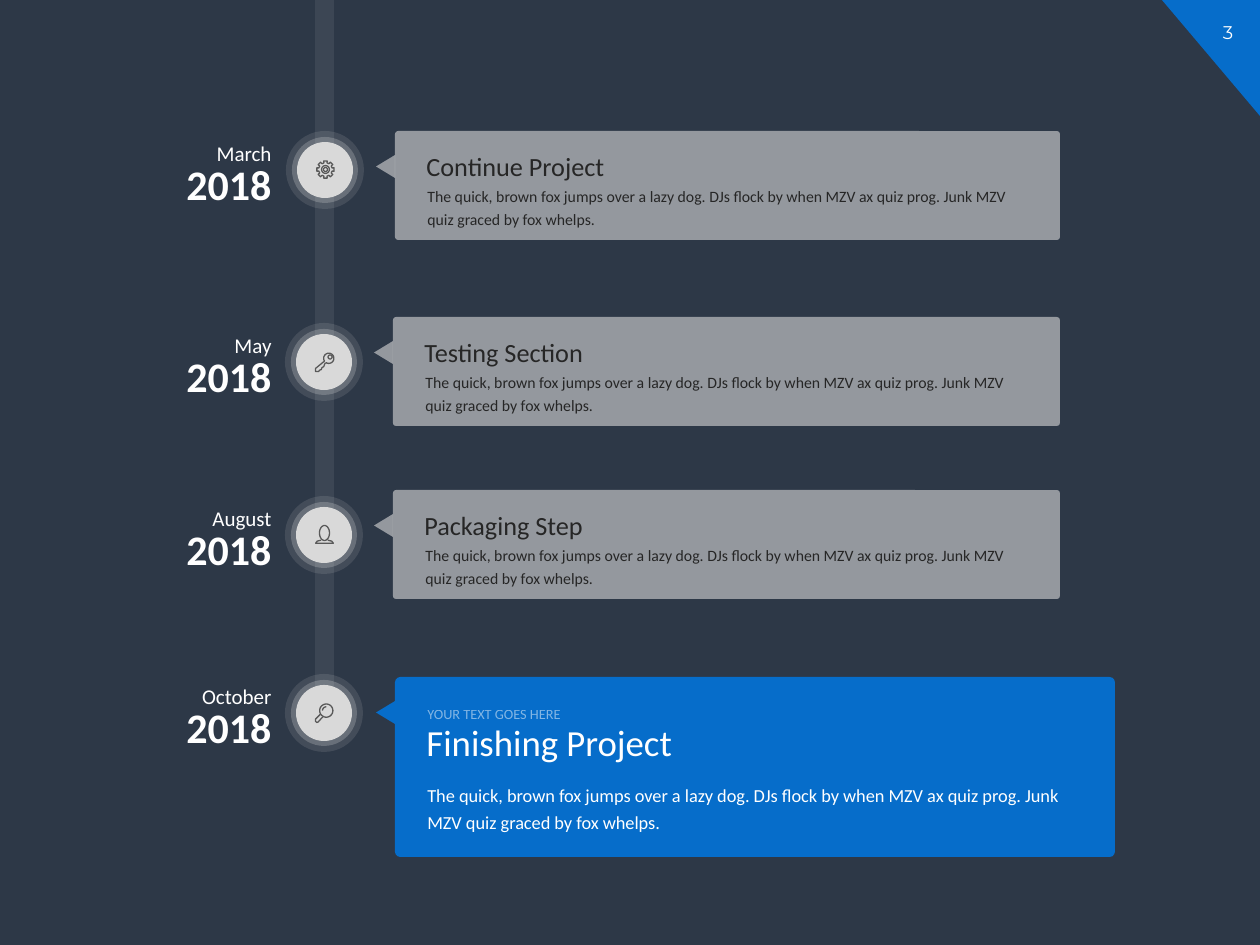
import dataclasses
import math

import pptx
import pptx.dml.color
import pptx.enum.shapes
import pptx.enum.text
import pptx.oxml
import pptx.oxml.ns
import pptx.util

PX = 914400 / 126
SHAPE = pptx.enum.shapes.MSO_SHAPE
ALIGN = pptx.enum.text.PP_ALIGN
BODY = ("The quick, brown fox jumps over a lazy dog. DJs flock by when MZV "
        "ax quiz prog. Junk MZV quiz graced by fox whelps.")


@dataclasses.dataclass(frozen=True)
class Theme:
    back: str = "2D3847"
    accent: str = "066DCA"
    light: str = "D9D9D9"
    white: str = "FFFFFF"
    dark: str = "262626"
    icon: str = "595959"
    font: str = "Calibri"
    number_font: str = "Montserrat"
    year: float = 24
    month: float = 12
    title: float = 15
    body: float = 9
    big_title: float = 21
    big_body: float = 10.5
    kicker: float = 8.2
    number: float = 10.5


def emu(px):
    return round(px * PX)


def paint(fill, color, alpha=100):
    """Set a solid fill, with alpha in percent."""
    fill.solid()
    fill.fore_color.rgb = pptx.dml.color.RGBColor.from_string(color)
    if alpha < 100:
        for clr in fill._xPr.iter(pptx.oxml.ns.qn("a:srgbClr")):
            node = pptx.oxml.parse_xml(
                f'<a:alpha {pptx.oxml.ns.nsdecls("a")} val="{alpha * 1000}"/>')
            clr.append(node)


def arc(cx, cy, rx, ry, start=0, end=360):
    """Points along an elliptical arc, clockwise, angles in degrees."""
    steps = max(8, (end - start) // 10)
    angles = [math.radians(start + (end - start) * i / steps)
              for i in range(steps + 1)]
    return [(cx + rx * math.cos(a), cy + ry * math.sin(a)) for a in angles]


def gear_outline(teeth=8):
    points = []
    for tooth in range(teeth):
        for offset, radius in ((-14, 68), (-11, 88), (11, 88), (14, 68)):
            a = math.radians(360 / teeth * tooth + offset)
            points.append((95 + radius * math.cos(a), 95 + radius * math.sin(a)))
    return points


# Each icon is a list of shapes, each shape a list of (points, closed),
# drawn on a grid of 190 units, ten to the px.
GEAR = [[(gear_outline(), True)],
        [(arc(95, 95, 39, 39), True)],
        [(arc(95, 95, 20, 20), True)]]
KEY = [[(arc(138, 63, 51, 51, 147, 477)
         + [(101, 113), (95, 126), (88, 145), (69, 158), (63, 176), (44, 183),
            (38, 195), (6, 195), (6, 164)], True)],
       [(arc(151, 50, 20, 20), True)]]
PERSON = [[(arc(95, 80, 50, 75), True),
           ([(62, 152), (22, 162), (6, 183), (184, 183), (168, 162), (128, 152)],
            False)]]
MAGNIFIER = [[(arc(113, 76, 66, 66), True),
              ([(54, 113), (6, 160), (5, 182), (18, 195), (32, 190), (78, 138)],
               False)],
             [(arc(113, 76, 38, 38, 180, 270), False)]]


class Deck:
    def __init__(self, theme):
        self.theme = theme
        self.prs = pptx.Presentation()
        self.prs.slide_width = emu(1260)
        self.prs.slide_height = emu(945)
        self.s = self.prs.slides.add_slide(self.prs.slide_layouts[6])
        paint(self.s.background.fill, theme.back)

    def shape(self, kind, x, y, w, h, color, alpha=100, rotation=0, radius=None):
        sp = self.s.shapes.add_shape(kind, emu(x), emu(y), emu(w), emu(h))
        sp.shadow.inherit = False
        sp.line.fill.background()
        paint(sp.fill, color, alpha)
        sp.rotation = rotation
        if radius is not None:
            sp.adjustments[0] = radius
        return sp

    def text(self, text, x, y, w, h, *, size, color, alpha=100, font=None,
             bold=False, align=ALIGN.LEFT, spacing=None):
        sp = self.s.shapes.add_textbox(emu(x), emu(y), emu(w), emu(h))
        tf = sp.text_frame
        tf.word_wrap = True
        tf.auto_size = pptx.enum.text.MSO_AUTO_SIZE.SHAPE_TO_FIT_TEXT
        p = tf.paragraphs[0]
        p.alignment = align
        p.line_spacing = spacing
        r = p.add_run()
        r.text = text
        r.font.name = font or self.theme.font
        r.font.size = pptx.util.Pt(size)
        r.font.bold = bold
        paint(r.font.fill, color, alpha)
        return sp

    def icon(self, icon, x, y):
        for contours in icon:
            builder = None
            for points, closed in contours:
                if builder is None:
                    builder = self.s.shapes.build_freeform(*points[0], scale=PX / 10)
                else:
                    builder.move_to(*points[0])
                builder.add_line_segments(points[1:], close=closed)
            sp = builder.convert_to_shape(emu(x), emu(y))
            sp.shadow.inherit = False
            sp.fill.background()
            paint(sp.line.fill, self.theme.icon)
            sp.line.width = pptx.util.Pt(0.75)

    def milestone(self, month, icon, x, y):
        t = self.theme
        self.text("2018", 120, y + 21, 164, 63, size=t.year, color=t.white,
                  bold=True, align=ALIGN.RIGHT)
        self.text(month, 135, y - 2, 149, 43, size=t.month, color=t.white,
                  align=ALIGN.RIGHT, spacing=1.2)
        for inset, alpha in ((0, 13), (6, 25), (11, 100)):
            d = 78 - 2 * inset
            self.shape(SHAPE.OVAL, x + inset, y + inset, d, d, t.light, alpha)
        self.icon(icon, x + 30, y + 29)

    def bubble(self, x, y, w, h, color, alpha=100):
        """Rounded card with a pointer on its left side."""
        self.shape(SHAPE.ROUNDED_RECTANGLE, x, y, w, h, color, alpha, radius=0.03)
        self.shape(SHAPE.ISOSCELES_TRIANGLE, x - 21, y + 26, 23, 19, color, alpha,
                   rotation=270)

    def card(self, title, x, y):
        t = self.theme
        self.bubble(x, y, 1060 - x, 109, t.light, 60)
        self.text(BODY, x + 20, y + 46, 614, 58, size=t.body, color=t.dark,
                  spacing=1.2)
        self.text(title, x + 19, y + 13, 663, 44, size=t.title, color=t.dark)

    def highlight(self, kicker, title, x, y):
        t = self.theme
        self.bubble(x, y, 720, 180, t.accent)
        self.text(BODY, x + 20, y + 97, 680, 67, size=t.big_body, color=t.white,
                  spacing=1.2)
        self.text(title, x + 19, y + 37, 663, 57, size=t.big_title, color=t.white)
        self.text(kicker, x + 20, y + 19, 680, 34, size=t.kicker, color=t.white,
                  alpha=50, spacing=1.2)


def main():
    theme = Theme()
    deck = Deck(theme)
    deck.shape(SHAPE.RIGHT_TRIANGLE, 1162, 0, 98, 116, theme.accent, rotation=180)
    deck.text("3", 1196, 15, 64, 35, size=theme.number, color=theme.white,
              font=theme.number_font, align=ALIGN.CENTER)
    deck.shape(SHAPE.RECTANGLE, 315, 0, 19, 718, theme.light, 9)

    for title, x, y in (("Continue Project", 395, 131),
                        ("Testing Section", 393, 317),
                        ("Packaging Step", 393, 490)):
        deck.card(title, x, y)
    deck.highlight("YOUR TEXT GOES HERE", "Finishing Project", 395, 677)

    for month, icon, x, y in (("March", GEAR, 286, 131),
                              ("May", KEY, 285, 323),
                              ("August", PERSON, 285, 496),
                              ("October", MAGNIFIER, 285, 674)):
        deck.milestone(month, icon, x, y)
    deck.prs.save("out.pptx")


if __name__ == "__main__":
    main()
